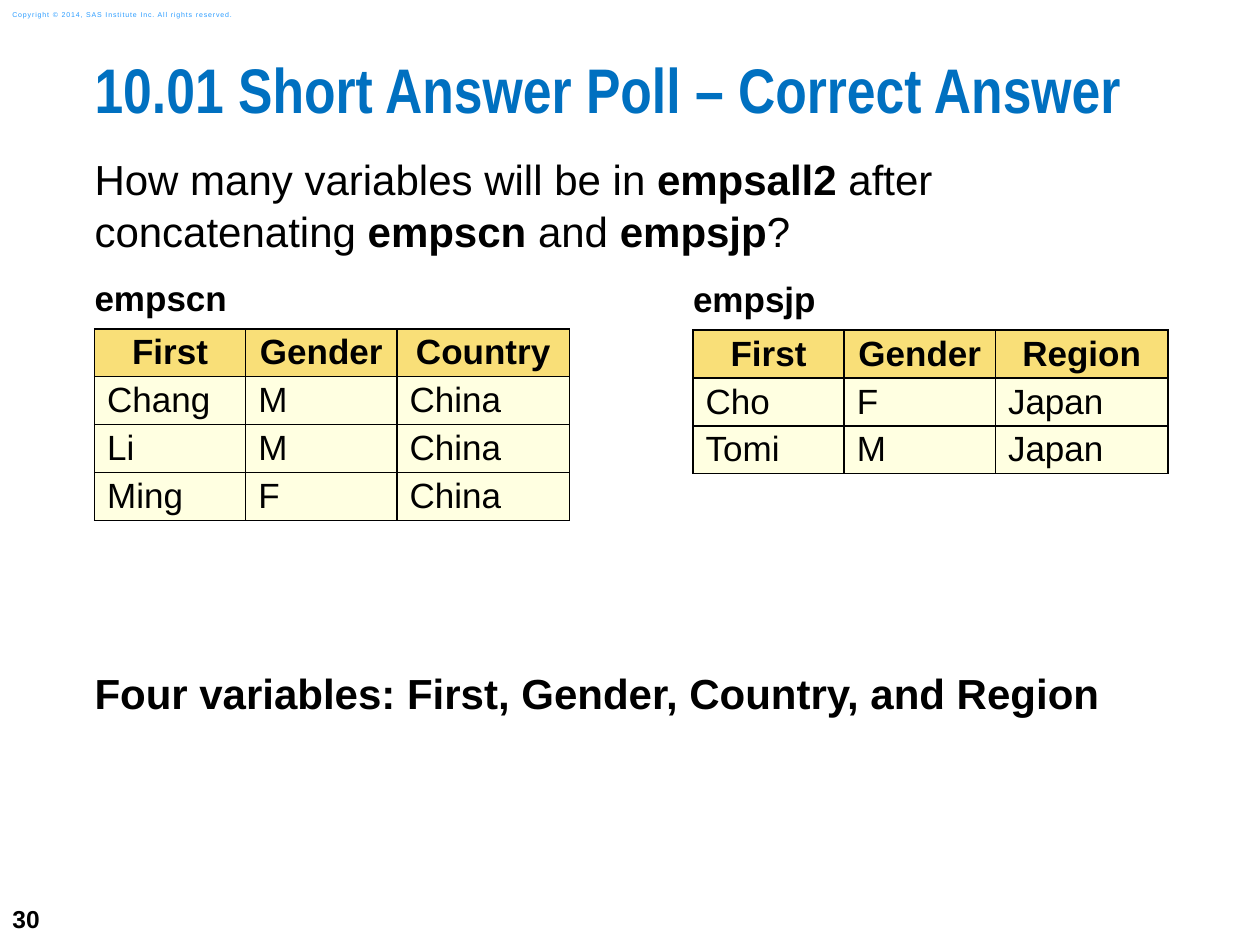
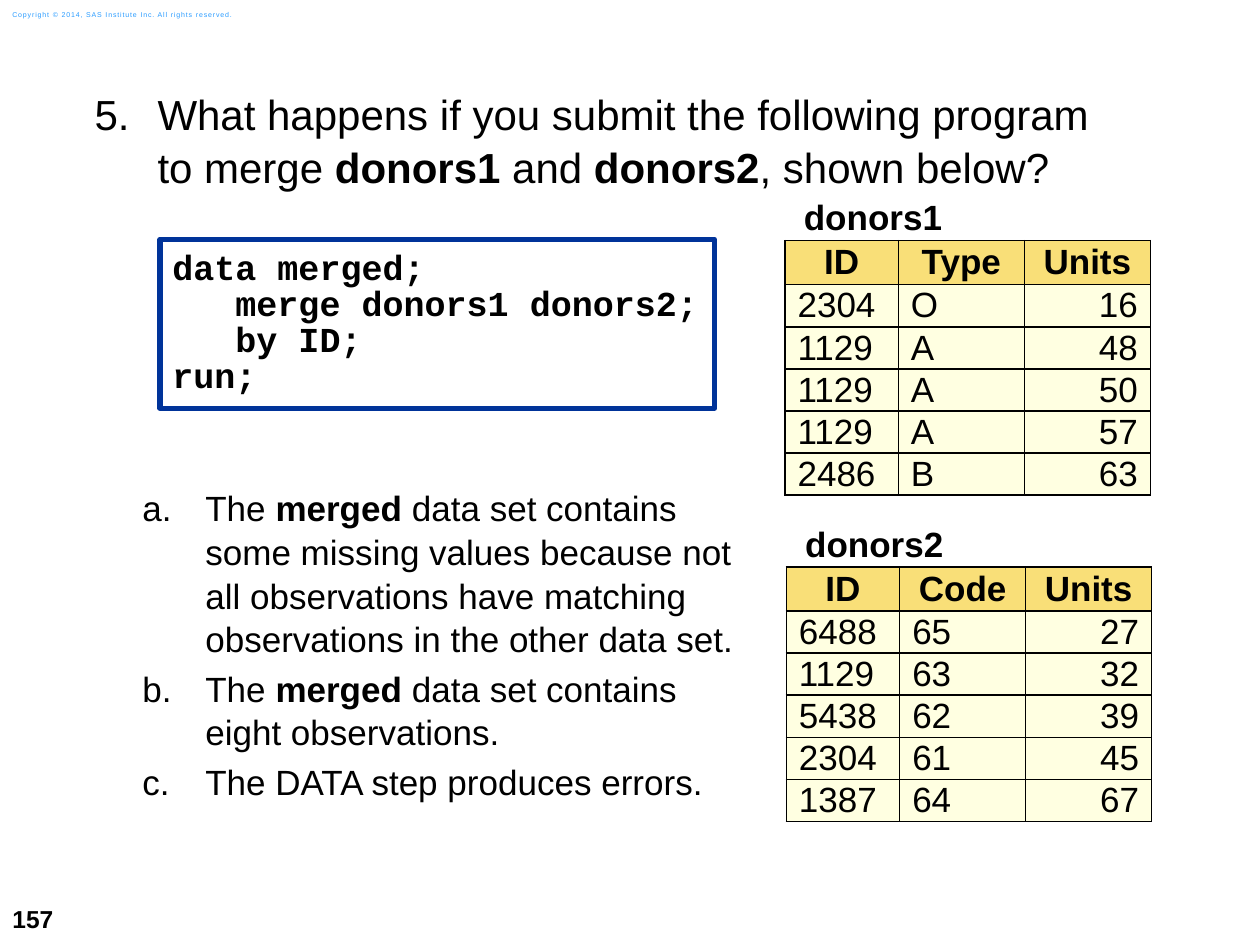
from lxml import etree
from pptx import Presentation
from pptx.dml.color import RGBColor
from pptx.enum.shapes import MSO_SHAPE
from pptx.enum.text import MSO_ANCHOR, PP_ALIGN
from pptx.oxml.ns import qn
from pptx.util import Inches, Pt

BLACK = RGBColor(0x00, 0x00, 0x00)
WHITE = RGBColor(0xFF, 0xFF, 0xFF)
TITLE_BLUE = RGBColor(0x00, 0x70, 0xC0)
FOOTER_BLUE = RGBColor(0x2A, 0x9C, 0xFF)
FRAME_BLUE = RGBColor(0x00, 0x33, 0x99)
HEADER_GOLD = RGBColor(0xF9, 0xDF, 0x78)
CELL_CREAM = RGBColor(0xFF, 0xFF, 0xE1)

LEFT, CENTER, RIGHT = PP_ALIGN.LEFT, PP_ALIGN.CENTER, PP_ALIGN.RIGHT
TOP, MIDDLE = MSO_ANCHOR.TOP, MSO_ANCHOR.MIDDLE
RECTANGLE = MSO_SHAPE.RECTANGLE
TITLE_ONLY, BLANK = 5, 6

COPYRIGHT = "Copyright © 2014, SAS Institute Inc. All rights reserved."


def write(para, text, size=20, font="Arial", color=BLACK, bold=False,
          align=LEFT, line=None, after=None, tracking=None):
    """Fill a paragraph; ** switches bold and a newline breaks the line."""
    para.alignment = align
    if line:
        para.line_spacing = line
    if after:
        para.space_after = Pt(after)
    for part_number, part in enumerate(text.split("**")):
        for line_number, words in enumerate(part.split("\n")):
            if line_number:
                para.add_line_break()
            if not words:
                continue
            span = para.add_run()
            span.text = words
            span.font.size = Pt(size)
            span.font.name = font
            span.font.bold = bold or part_number % 2 == 1
            span.font.color.rgb = color
            if tracking:
                span.font._element.set("spc", str(int(tracking * 100)))


def number(para, scheme, indent, start=1):
    """Give a paragraph an automatic number with a hanging indent."""
    properties = para._p.get_or_add_pPr()
    properties.set("marL", str(Inches(indent)))
    properties.set("indent", str(-Inches(0.5)))
    bullet = etree.SubElement(properties, qn("a:buAutoNum"), type=scheme)
    if start > 1:
        bullet.set("startAt", str(start))


def set_borders(cell, visible):
    """Draw the visible sides (of L, R, T, B) and clear the others."""
    properties = cell._tc.get_or_add_tcPr()
    for side in "LRTB":
        border = etree.SubElement(properties, qn(f"a:ln{side}"), w=str(Pt(1)))
        if side in visible:
            fill = etree.SubElement(border, qn("a:solidFill"))
            etree.SubElement(fill, qn("a:srgbClr"), val=str(BLACK))
        else:
            etree.SubElement(border, qn("a:noFill"))


class CourseDeck:
    def __init__(self):
        self.deck = Presentation()
        self.deck.slide_width = Inches(10)
        self.deck.slide_height = Inches(7.5)
        self.page = None

    def add_page(self, page_number, title=None):
        layout = self.deck.slide_layouts[TITLE_ONLY if title else BLANK]
        self.page = self.deck.slides.add_slide(layout)
        if title:
            self.title(title)
        self.text(page_number, 0, 7.08, 0.58, 0.42, inset=(0.1, 0.05),
                  anchor=MIDDLE, wrap=False, size=14, bold=True)
        self.text(COPYRIGHT, 0, 0.03, 2.11, 0.17, inset=(0.1, 0.05),
                  anchor=MIDDLE, wrap=False, size=4, color=FOOTER_BLUE,
                  tracking=0.5)

    def set_frame(self, frame, inset, anchor, wrap):
        frame.margin_left = frame.margin_right = Inches(inset[0])
        frame.margin_top = frame.margin_bottom = Inches(inset[1])
        frame.vertical_anchor = anchor
        frame.word_wrap = wrap

    def title(self, text):
        box = self.page.shapes.title
        box.left, box.top = Inches(0.75), Inches(0.5)
        box.width, box.height = Inches(9.25), Inches(0.74)
        self.set_frame(box.text_frame, (0, 0), TOP, True)
        write(box.text_frame.paragraphs[0], text, size=36, font="Arial Narrow",
              color=TITLE_BLUE, bold=True, line=0.83)

    def text(self, text, left, top, width, height, inset=(0, 0), anchor=TOP,
             wrap=True, **style):
        box = self.page.shapes.add_textbox(
            Inches(left), Inches(top), Inches(width), Inches(height))
        self.set_frame(box.text_frame, inset, anchor, wrap)
        write(box.text_frame.paragraphs[0], text, **style)

    def numbered(self, items, top, width, height, scheme, indent, start=1,
                 **style):
        box = self.page.shapes.add_textbox(
            Inches(0.75), Inches(top), Inches(width), Inches(height))
        frame = box.text_frame
        self.set_frame(frame, (0, 0), TOP, True)
        for index, item in enumerate(items):
            para = frame.add_paragraph() if index else frame.paragraphs[0]
            number(para, scheme, indent, start)
            write(para, item, line=1.04, **style)

    def code(self, lines, left, top, width, height):
        box = self.page.shapes.add_shape(
            RECTANGLE, Inches(left), Inches(top), Inches(width), Inches(height))
        box.shadow.inherit = False
        box.fill.solid()
        box.fill.fore_color.rgb = WHITE
        box.line.color.rgb = FRAME_BLUE
        box.line.width = Pt(3)
        frame = box.text_frame
        self.set_frame(frame, (0.1, 0.1), MIDDLE, False)
        for index, line in enumerate(lines):
            para = frame.add_paragraph() if index else frame.paragraphs[0]
            write(para, line, font="Courier New", bold=True, line=0.85)

    def data_table(self, caption, rows, left, top, widths, heights,
                   caption_span=3, caption_inset=0, aligns=(LEFT, LEFT, LEFT)):
        """Caption row, header row and data rows; heights go in that order."""
        row_heights = list(heights[:2]) + [heights[2]] * (len(rows) - 1)
        table = self.page.shapes.add_table(
            len(row_heights), len(widths), Inches(left), Inches(top),
            Inches(sum(widths)), Inches(sum(row_heights))).table
        table.first_row = table.horz_banding = False
        for column, width in zip(table.columns, widths):
            column.width = Inches(width)
        for row, height in zip(table.rows, row_heights):
            row.height = Inches(height)

        # Caption
        for column in range(len(widths)):
            cell = table.cell(0, column)
            set_borders(cell, "B")
            cell.fill.background()
            cell.margin_top = cell.margin_bottom = 0
        cell = table.cell(0, 0)
        cell.merge(table.cell(0, caption_span - 1))
        cell.margin_left = Inches(caption_inset)
        cell.vertical_anchor = MIDDLE
        write(cell.text_frame.paragraphs[0], caption, bold=True)

        # Header and data
        for row_index, values in enumerate(rows, start=1):
            header = row_index == 1
            for column, value in enumerate(values):
                cell = table.cell(row_index, column)
                set_borders(cell, "LRTB")
                cell.fill.solid()
                cell.fill.fore_color.rgb = HEADER_GOLD if header else CELL_CREAM
                cell.margin_left = cell.margin_right = Inches(0.1)
                cell.margin_top = cell.margin_bottom = 0
                cell.vertical_anchor = MIDDLE
                write(cell.text_frame.paragraphs[0], value, bold=header,
                      align=CENTER if header else aligns[column])


def add_poll_answer(course):
    course.add_page("30", "10.01 Short Answer Poll – Correct Answer")
    course.text("How many variables will be in **empsall2** after "
                "concatenating **empscn** and **empsjp**?",
                0.75, 1.2, 8.58, 0.85, size=24, line=1.04)

    # Employee tables
    layout = {"widths": (1.2, 1.2, 1.37), "heights": (0.47, 0.38, 0.38)}
    course.data_table("empsjp", [("First", "Gender", "Region"),
                                 ("Cho", "F", "Japan"),
                                 ("Tomi", "M", "Japan")], 5.5, 2.15, **layout)
    course.data_table("empscn", [("First", "Gender", "Country"),
                                 ("Chang", "M", "China"),
                                 ("Li", "M", "China"),
                                 ("Ming", "F", "China")], 0.75, 2.14, **layout)

    course.text("Four variables: First, Gender, Country, and Region",
                0.75, 5.28, 8.58, 0.45, size=24, bold=True, line=1.04)


def add_merge_question(course):
    course.add_page("157")
    course.numbered(["What happens if you submit the following program \n"
                     "to merge **donors1** and **donors2**, shown below?"],
                    0.69, 8.58, 0.85, "arabicPeriod", 0.5, start=5, size=24)

    # Donor tables
    layout = {"widths": (0.9, 1, 1), "heights": (0.35, 0.35, 0.31),
              "caption_span": 2, "caption_inset": 0.15,
              "aligns": (LEFT, LEFT, RIGHT)}
    course.data_table("donors1", [("ID", "Type", "Units"),
                                  ("2304", "O", "16"),
                                  ("1129", "A", "48"),
                                  ("1129", "A", "50"),
                                  ("1129", "A", "57"),
                                  ("2486", "B", "63")], 6.23, 1.56, **layout)
    course.data_table("donors2", [("ID", "Code", "Units"),
                                  ("6488", "65", "27"),
                                  ("1129", "63", "32"),
                                  ("5438", "62", "39"),
                                  ("2304", "61", "45"),
                                  ("1387", "64", "67")], 6.24, 4.15, **layout)

    # Program and answer choices
    course.code(["data merged;", "   merge donors1 donors2;", "   by ID;",
                 "run;"], 1.27, 1.9, 4.4, 1.34)
    course.numbered(["The **merged** data set contains \n"
                     "some missing values because not \n"
                     "all observations have matching\n"
                     "observations in the other data set.",
                     "The **merged** data set contains \neight observations.",
                     "The DATA step produces errors."],
                    3.85, 5.3, 2.5, "alphaLcPeriod", 0.88, after=3.4)


def main():
    course = CourseDeck()
    add_poll_answer(course)
    add_merge_question(course)
    course.deck.save("out.pptx")


if __name__ == "__main__":
    main()
